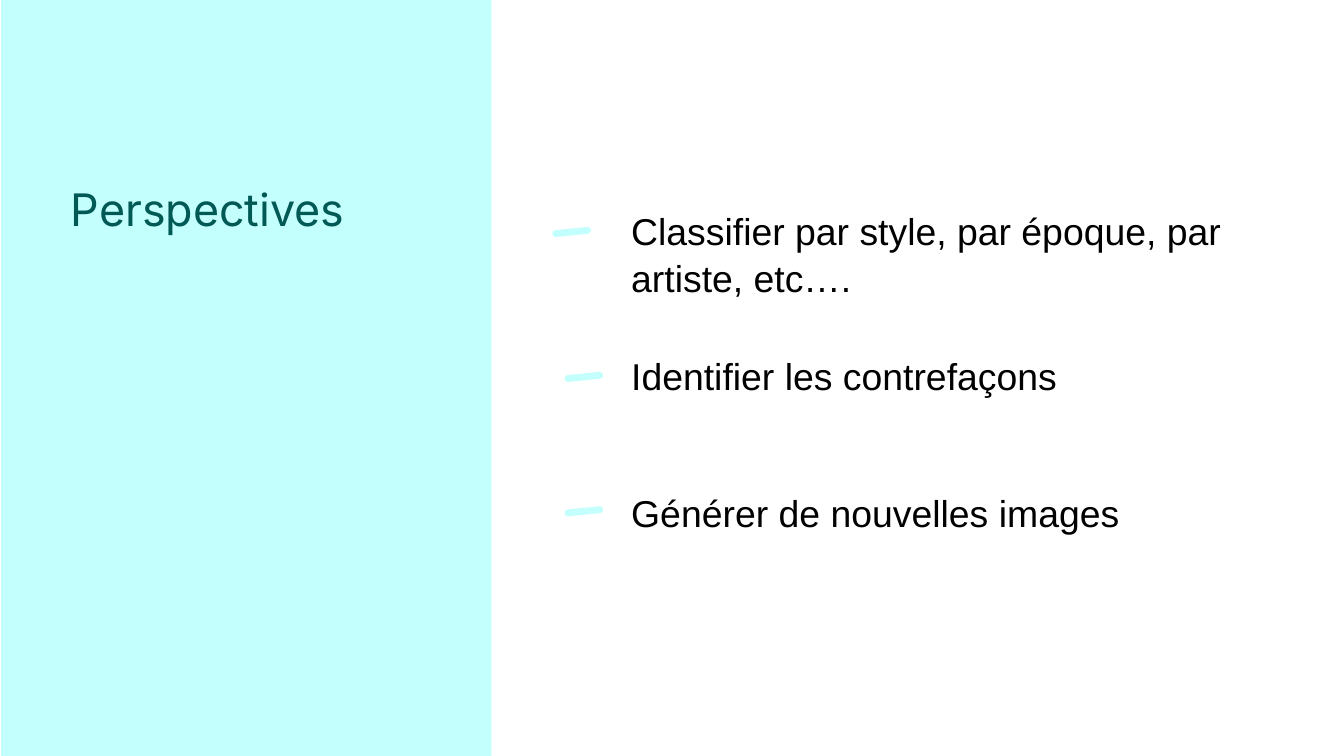
import pptx
import pptx.dml.color
import pptx.enum.shapes
import pptx.enum.text
import pptx.util
from pptx.util import Cm

TITLE = "Perspectives"
# text, top of text, height of text, left of dash, top of dash (cm)
PERSPECTIVES = [
    ("Classifier par style, par époque, par artiste, etc….", 3.63, 2.24, 10.44, 4.32),
    ("Identifier les contrefaçons", 6.38, 1.37, 10.67, 7.06),
    ("Générer de nouvelles images", 8.97, 1.37, 10.67, 9.6),
]
THEME = {
    "accent": "C3FFFC",
    "title": {"font": "Inter", "size": 24, "color": "015955", "spacing": 1.0},
    "body": {"font": "Arial", "size": 20, "color": "000000", "spacing": 1.06},
}
SHAPES = pptx.enum.shapes.MSO_SHAPE


def rgb(value):
    return pptx.dml.color.RGBColor.from_string(value)


def add_accent(slide, kind, left, top, width, height):
    accent = slide.shapes.add_shape(kind, Cm(left), Cm(top), Cm(width), Cm(height))
    accent.shadow.inherit = False
    accent.fill.solid()
    accent.fill.fore_color.rgb = rgb(THEME["accent"])
    accent.line.fill.background()
    return accent


def add_text(slide, text, style, left, top, width, height):
    frame = slide.shapes.add_textbox(Cm(left), Cm(top), Cm(width), Cm(height)).text_frame
    frame.word_wrap = True
    frame.vertical_anchor = pptx.enum.text.MSO_ANCHOR.TOP
    frame.margin_left = frame.margin_right = Cm(0.25)
    frame.margin_top = frame.margin_bottom = Cm(0.25)
    paragraph = frame.paragraphs[0]
    paragraph.text = text
    paragraph.line_spacing = style["spacing"]
    paragraph.font.name = style["font"]
    paragraph.font.size = pptx.util.Pt(style["size"])
    paragraph.font.color.rgb = rgb(style["color"])


def main():
    deck = pptx.Presentation()
    deck.slide_width, deck.slide_height = Cm(25.4), Cm(14.29)
    slide = deck.slides.add_slide(deck.slide_layouts[6])

    add_accent(slide, SHAPES.RECTANGLE, 0.02, -0.04, 9.27, 14.33)
    add_text(slide, TITLE, THEME["title"], 1.09, 3.18, 6.99, 9.6)

    for text, top, height, dash_left, dash_top in PERSPECTIVES:
        add_text(slide, text, THEME["body"], 11.68, top, 13.21, height)
        dash = add_accent(slide, SHAPES.ROUNDED_RECTANGLE, dash_left, dash_top, 0.73, 0.13)
        dash.adjustments[0] = 0.5
        dash.rotation = 354.1

    deck.save("out.pptx")


if __name__ == "__main__":
    main()
